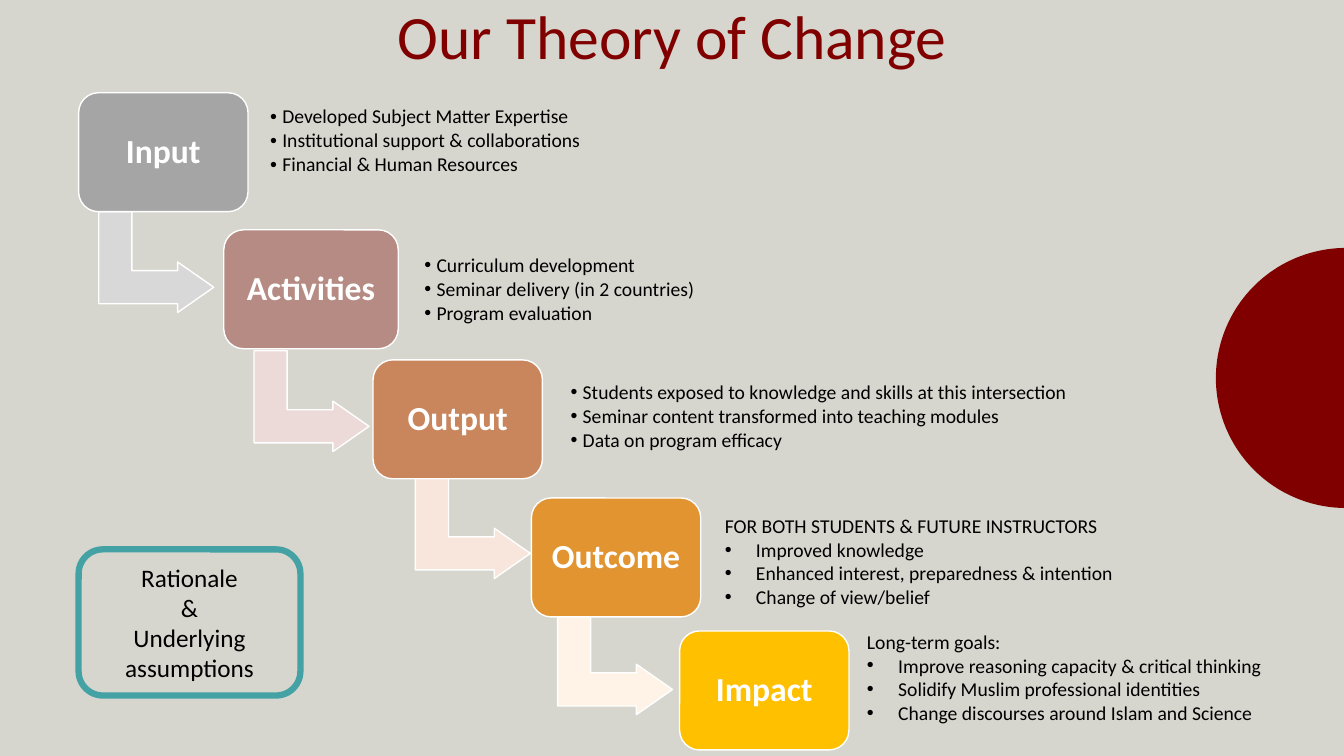
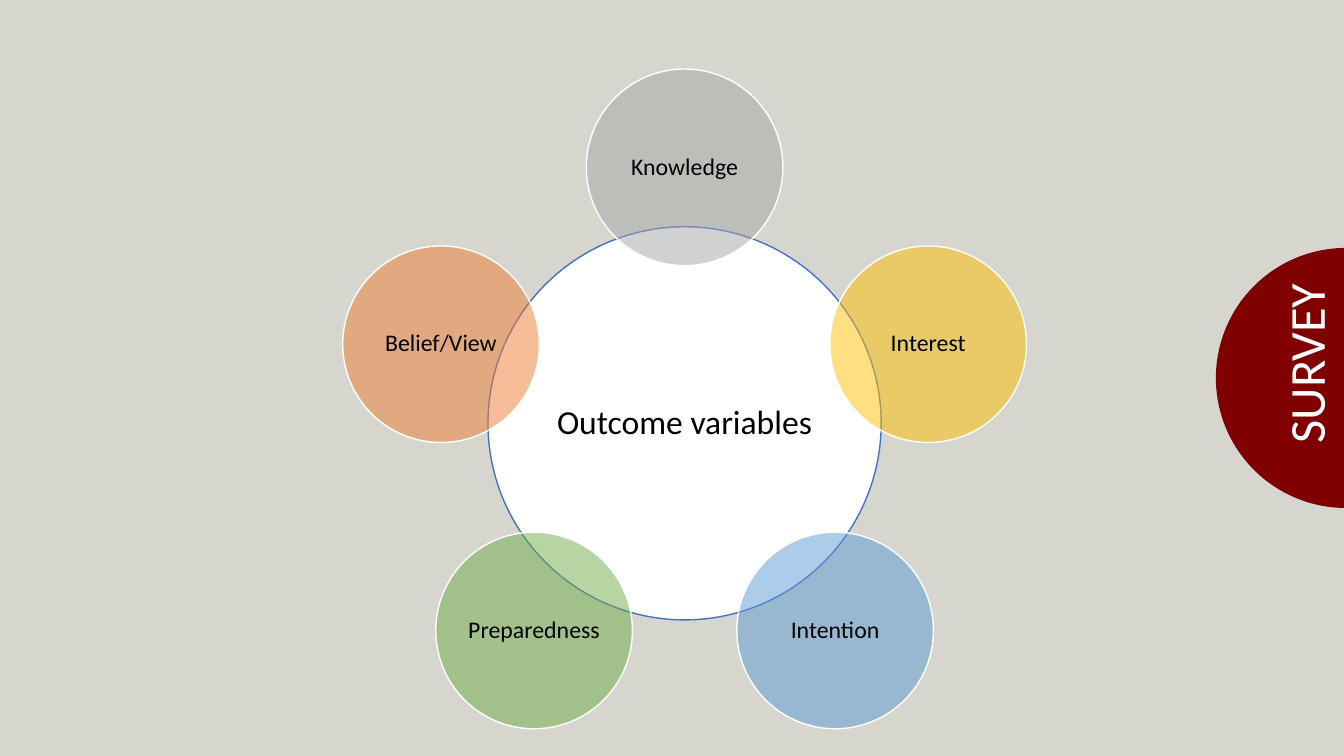
import math
from collections import namedtuple

from lxml import etree
from pptx import Presentation
from pptx import util as u
from pptx.dml import color
from pptx.enum import shapes, text
from pptx.oxml import ns

PX = 9144  # EMU in one px, 100 px to the inch
WIDTH, HEIGHT = 1333, 750
FONT = "Calibri"
COLORS = {
    "background": "D6D6CE",
    "maroon": "800000",
    "white": "FFFFFF",
    "black": "000000",
    "gray": "A5A5A5",
    "rose": "B58B83",
    "copper": "C9855C",
    "orange": "E19430",
    "gold": "FFC000",
    "pale gray": "D8D8D8",
    "pale rose": "EBDAD7",
    "pale copper": "F8E6DC",
    "pale orange": "FFF3E7",
    "teal": "44A2A5",
    "blue": "4472C4",
    "sky": "5B9BD5",
    "green": "70AD47",
    "peach": "ED7D31",
}

Stage = namedtuple("Stage", "name fill left top width arrow_fill arrow_left arrow_top")
STAGES = [
    Stage("Input", "gray", 78, 92, 168, "pale gray", 105, 203),
    Stage("Activities", "rose", 222, 228, 173, "pale rose", 259, 341),
    Stage("Output", "copper", 370, 357, 168, "pale copper", 419, 467),
    Stage("Outcome", "orange", 527, 494, 168, "pale orange", 560, 602),
    Stage("Impact", "gold", 674, 626, 168, None, None, None),
]

# Left, top, width and lines of the lists next to the first three stages
STAGE_LISTS = [
    (262, 93, 350, ["Developed Subject Matter Expertise",
                    "Institutional support & collaborations",
                    "Financial & Human Resources"]),
    (415, 240, 420, ["Curriculum development",
                     "Seminar delivery (in 2 countries)",
                     "Program evaluation"]),
    (560, 366, 516, ["Students exposed to knowledge and skills at this intersection",
                     "Seminar content transformed into teaching modules",
                     "Data on program efficacy"]),
]

# Left, top, width, heading and lines of the lists next to the last two stages
HEADED_LISTS = [
    (709, 505, 417, "FOR BOTH STUDENTS & FUTURE INSTRUCTORS",
     ["Improved knowledge",
      "Enhanced interest, preparedness & intention",
      "Change of view/belief"]),
    (850, 620, 449, "Long-term goals:",
     ["Improve reasoning capacity & critical thinking",
      "Solidify Muslim professional identities",
      "Change discourses around Islam and Science"]),
]

VARIABLES = [
    ("Knowledge", "gray"),
    ("Interest", "gold"),
    ("Intention", "sky"),
    ("Preparedness", "green"),
    ("Belief/View", "peach"),
]


def rgb(name):
    return color.RGBColor.from_string(COLORS[name])


def px(*lengths):
    return [u.Emu(round(length * PX)) for length in lengths]


def add_bullet(paragraph, indent):
    properties = paragraph._p.get_or_add_pPr()
    properties.set("marL", str(indent * PX))
    properties.set("indent", str(-indent * PX))
    etree.SubElement(properties, ns.qn("a:buFont"), typeface="Arial")
    etree.SubElement(properties, ns.qn("a:buChar"), char="•")


def write_text(shape, lines, *, size, fill="black", bold=False, centered=True,
               anchor="MIDDLE", margins=(0, 0), line_spacing=0.9,
               space_after=0, indent=0, first_bullet=0):
    """Fill a shape with paragraphs; with an indent, bullets start at first_bullet."""
    frame = shape.text_frame
    frame.word_wrap = True
    frame.vertical_anchor = text.MSO_ANCHOR[anchor]
    frame.margin_left = frame.margin_right = px(margins[0])[0]
    frame.margin_top = frame.margin_bottom = px(margins[1])[0]
    for index, line in enumerate(lines):
        paragraph = frame.add_paragraph() if index else frame.paragraphs[0]
        if indent and index >= first_bullet:
            add_bullet(paragraph, indent)
        paragraph.alignment = text.PP_ALIGN.CENTER if centered else text.PP_ALIGN.LEFT
        paragraph.line_spacing = line_spacing
        paragraph.space_after = u.Pt(space_after)
        run = paragraph.add_run()
        run.text = line
        run.font.name = FONT
        run.font.size = u.Pt(size)
        run.font.bold = bold
        run.font.color.rgb = rgb(fill)


def add_text(slide, box, lines, **text_format):
    shape = slide.shapes.add_textbox(*px(*box))
    write_text(shape, lines, **text_format)
    return shape


def style_shape(shape, fill, line, line_width=1):
    shape.shadow.inherit = False
    if fill:
        shape.fill.solid()
        shape.fill.fore_color.rgb = rgb(fill)
    else:
        shape.fill.background()
    if line:
        shape.line.color.rgb = rgb(line)
        shape.line.width = u.Pt(line_width)
    else:
        shape.line.fill.background()


def set_opacity(shape, percent):
    fill_color = shape._element.spPr.find(f"{ns.qn('a:solidFill')}/{ns.qn('a:srgbClr')}")
    etree.SubElement(fill_color, ns.qn("a:alpha"), val=str(percent * 1000))


def add_rounded_box(slide, box, fill, line, line_width=1):
    shape = slide.shapes.add_shape(shapes.MSO_SHAPE.ROUNDED_RECTANGLE, *px(*box))
    style_shape(shape, fill, line, line_width)
    return shape


def add_circle(slide, center_x, center_y, diameter, fill, line):
    box = px(center_x - diameter / 2, center_y - diameter / 2, diameter, diameter)
    shape = slide.shapes.add_shape(shapes.MSO_SHAPE.OVAL, *box)
    style_shape(shape, fill, line)
    return shape


def add_bent_arrow(slide, left, top, fill):
    arrow = slide.shapes.add_shape(shapes.MSO_SHAPE.BENT_UP_ARROW,
                                   *px(left, top, 100, 114))
    for index, value in enumerate((0.328, 0.25, 0.358)):
        arrow.adjustments[index] = value
    arrow.rotation = 90
    style_shape(arrow, fill, "white")


def add_edge_disc(slide, center_x=1335, center_y=375, radius=129, steps=90):
    """Draw the disc that the right edge of the slide cuts off."""
    angles = [math.pi * (0.5 + step / steps) for step in range(steps + 1)]
    points = [(min(WIDTH, center_x + radius * math.cos(angle)) * PX,
               (center_y + radius * math.sin(angle)) * PX) for angle in angles]
    builder = slide.shapes.build_freeform(*points[0])
    builder.add_line_segments(points[1:], close=True)
    style_shape(builder.convert_to_shape(), "maroon", None)


def add_slide(presentation):
    slide = presentation.slides.add_slide(presentation.slide_layouts[6])
    add_edge_disc(slide)
    return slide


def add_stage(slide, stage):
    if stage.arrow_fill:
        add_bent_arrow(slide, stage.arrow_left, stage.arrow_top, stage.arrow_fill)
    box = add_rounded_box(slide, (stage.left, stage.top, stage.width, 118),
                          stage.fill, "white")
    write_text(box, [stage.name], size=24, fill="white", bold=True, margins=(6, 6))


def build_theory_slide(presentation):
    slide = add_slide(presentation)
    add_text(slide, (92, 0, 1150, 78), ["Our Theory of Change"],
             size=44, fill="maroon", margins=(10, 5))
    for stage in STAGES:
        add_stage(slide, stage)
    for left, top, width, lines in STAGE_LISTS:
        add_text(slide, (left, top, width, 95), lines, size=14, centered=False,
                 margins=(6, 6), space_after=2, indent=12)
    for left, top, width, heading, lines in HEADED_LISTS:
        add_text(slide, (left, top, width, 104), [heading, *lines], size=14,
                 centered=False, anchor="TOP", margins=(10, 5), line_spacing=1,
                 indent=31, first_bullet=1)
    rationale = add_rounded_box(slide, (78, 545, 220, 145), None, "teal", 4.5)
    write_text(rationale, ["Rationale", "&", "Underlying assumptions"],
               size=18, line_spacing=1)


def build_survey_slide(presentation):
    slide = add_slide(presentation)
    center_x, center_y, orbit = 679, 420, 254
    hub = add_circle(slide, center_x, center_y, 390, "white", "blue")
    write_text(hub, ["Outcome variables"], size=24, margins=(3, 3))
    for index, (name, fill) in enumerate(VARIABLES):
        angle = 2 * math.pi * index / len(VARIABLES) - math.pi / 2
        circle = add_circle(slide, center_x + orbit * math.cos(angle),
                            center_y + orbit * math.sin(angle), 195, fill, "white")
        set_opacity(circle, 50)
        write_text(circle, [name], size=17, margins=(2, 2))
    label = add_text(slide, (1196, 329, 204, 63), ["SURVEY"], size=36, fill="white")
    label.rotation = 270


def main():
    presentation = Presentation()
    presentation.slide_width, presentation.slide_height = px(WIDTH, HEIGHT)
    background = presentation.slide_master.background.fill
    background.solid()
    background.fore_color.rgb = rgb("background")
    build_theory_slide(presentation)
    build_survey_slide(presentation)
    presentation.save("out.pptx")


if __name__ == "__main__":
    main()
